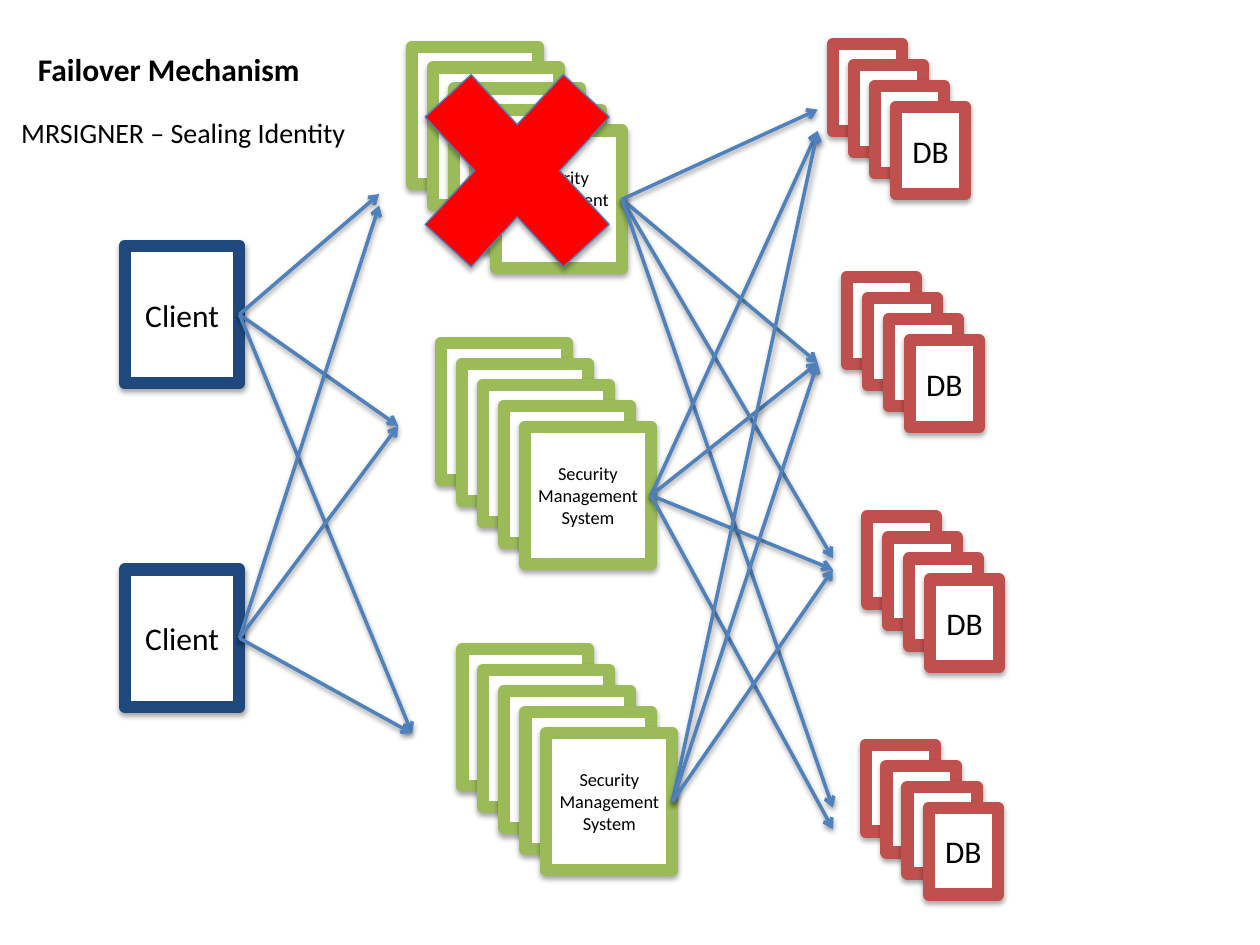
from dataclasses import dataclass

from lxml import etree
from pptx import Presentation
from pptx.dml.color import RGBColor
from pptx.enum.shapes import MSO_CONNECTOR, MSO_SHAPE
from pptx.enum.text import MSO_ANCHOR, PP_ALIGN
from pptx.oxml.ns import qn
from pptx.shapes.autoshape import Shape
from pptx.slide import Slide
from pptx.text.text import TextFrame
from pptx.util import Inches, Pt

RECT = MSO_SHAPE.RECTANGLE
CROSS = MSO_SHAPE.MATH_MULTIPLY
STRAIGHT = MSO_CONNECTOR.STRAIGHT
LEFT, CENTER = PP_ALIGN.LEFT, PP_ALIGN.CENTER
TOP, MIDDLE = MSO_ANCHOR.TOP, MSO_ANCHOR.MIDDLE
FONT = "Calibri"
BLACK, WHITE, RED = "000000", "FFFFFF", "FF0000"
NAVY, GREEN, BRICK, BLUE = "1F497D", "9BBB59", "C0504D", "4F81BD"
STEP = 1 / 6  # offset between stacked boxes
RIGHT = 3  # connection site


@dataclass
class Kind:
    label: str
    size: float
    width: float
    height: float
    color: str
    count: int


@dataclass
class Node:
    kind: Kind
    left: float
    top: float
    ends: tuple = ()  # arrow tips


CLIENT = Kind("Client", 18, 0.91, 1.09, NAVY, 1)
SYSTEM = Kind("Security Management System", 10.5, 1, 1.09, GREEN, 5)
STORE = Kind("DB", 18, 0.55, 0.69, BRICK, 4)

NODES = [
    Node(CLIENT, 0.99, 1.95, ((3.01, 1.54), (3.16, 3.38), (3.27, 5.82))),
    Node(CLIENT, 0.99, 4.52, ((3.01, 1.63), (3.16, 3.38), (3.27, 5.82))),
    Node(SYSTEM, 3.27, 0.37,
         ((6.49, 0.87), (6.49, 2.88), (6.61, 4.43), (6.61, 6.41))),
    Node(SYSTEM, 3.5, 2.72,
         ((6.49, 1.04), (6.49, 2.88), (6.61, 4.52), (6.61, 6.58))),
    Node(SYSTEM, 3.67, 5.15, ((6.49, 1.04), (6.49, 2.88), (6.61, 4.52))),
    Node(STORE, 6.61, 0.35),
    Node(STORE, 6.72, 2.2),
    Node(STORE, 6.88, 4.1),
    Node(STORE, 6.87, 5.91),
]


def color(code: str) -> RGBColor:
    return RGBColor.from_string(code)


def write(frame: TextFrame, text: str, size: float, align: PP_ALIGN,
          anchor: MSO_ANCHOR, bold: bool = False) -> None:
    frame.word_wrap = True
    frame.vertical_anchor = anchor
    para = frame.paragraphs[0]
    para.alignment = align
    run = para.add_run()
    run.text = text
    run.font.name = FONT
    run.font.size = Pt(size)
    run.font.bold = bold
    run.font.color.rgb = color(BLACK)


def draw_shape(slide: Slide, form: MSO_SHAPE, box: tuple, fill: str,
               line: str, width: float) -> Shape:
    # The theme's soft shadow is kept
    shape = slide.shapes.add_shape(form, *map(Inches, box))
    shape.fill.solid()
    shape.fill.fore_color.rgb = color(fill)
    shape.line.color.rgb = color(line)
    shape.line.width = Pt(width)
    return shape


def draw_stack(slide: Slide, node: Node) -> Shape:
    """Draw the boxes from back to front and return the front one."""
    kind = node.kind
    for i in range(kind.count):
        box = (node.left + i * STEP, node.top + i * STEP,
               kind.width, kind.height)
        front = draw_shape(slide, RECT, box, WHITE, kind.color, 7)
    frame = front.text_frame
    frame.margin_left = frame.margin_right = Inches(0.05)
    write(frame, kind.label, kind.size, CENTER, MIDDLE)
    return front


def draw_arrow(slide: Slide, start: Shape, end: tuple) -> None:
    x, y = map(Inches, end)
    arrow = slide.shapes.add_connector(STRAIGHT, x, y, x, y)
    arrow.begin_connect(start, RIGHT)
    arrow.line.color.rgb = color(BLUE)
    arrow.line.width = Pt(2)
    etree.SubElement(arrow.line._get_or_add_ln(), qn("a:tailEnd"),
                     type="arrow")


def main() -> None:
    deck = Presentation()
    deck.slide_width, deck.slide_height = Inches(10), Inches(7.5)
    slide = deck.slides.add_slide(deck.slide_layouts[5])

    # Title
    title = slide.shapes.title
    title.left, title.top = Inches(0.2), Inches(0.35)
    title.width, title.height = Inches(2.67), Inches(0.4)
    write(title.text_frame, "Failover Mechanism", 18, LEFT, TOP, True)

    # Clients, systems and databases, then the arrows over them
    fronts = [draw_stack(slide, node) for node in NODES]
    for node, front in zip(NODES, fronts):
        for end in node.ends:
            draw_arrow(slide, front, end)

    # Subtitle
    note = slide.shapes.add_textbox(*map(Inches, (0.07, 0.87, 3.52, 0.37)))
    write(note.text_frame, "MRSIGNER – Sealing Identity", 16, LEFT, TOP)

    # Failed system
    draw_shape(slide, CROSS, (3.05, 0.21, 2.11, 2.29), RED, "4B7EBC", 0.75)

    deck.save("out.pptx")


if __name__ == "__main__":
    main()
